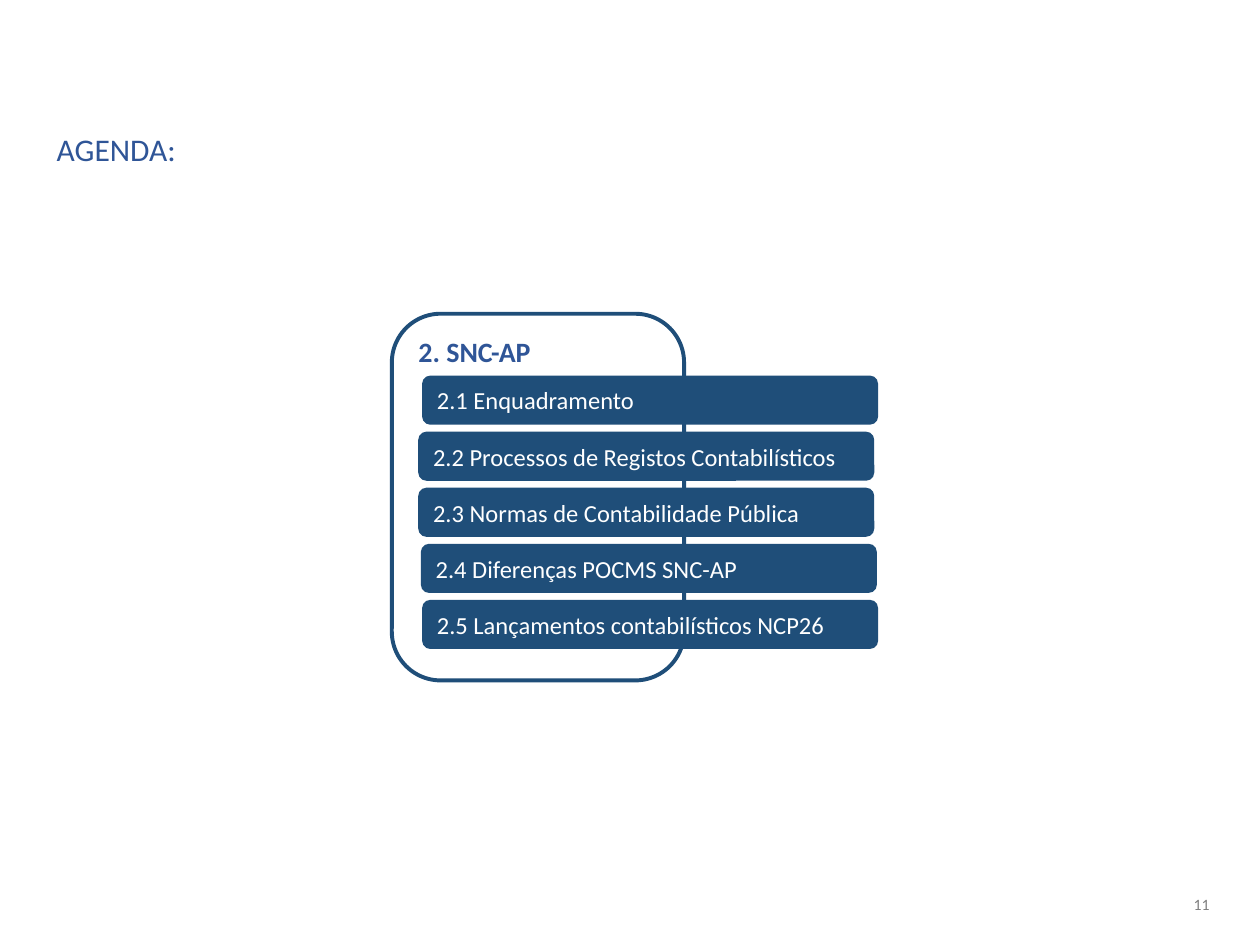
from dataclasses import dataclass

from pptx import Presentation
from pptx.dml.color import RGBColor
from pptx.enum.shapes import MSO_SHAPE
from pptx.enum.text import MSO_ANCHOR, MSO_AUTO_SIZE, PP_ALIGN
from pptx.shapes.autoshape import Shape
from pptx.slide import Slide
from pptx.util import Pt

NAVY = RGBColor(0x1F, 0x4E, 0x79)
BLUE = RGBColor(0x2F, 0x55, 0x97)
GREY = RGBColor(0x80, 0x80, 0x80)
WHITE = RGBColor(0xFF, 0xFF, 0xFF)

FONT = "Calibri"
BAR_TOP = 214.6
BAR_STEP = 32.04
BAR_WIDTH = 260.6
BAR_HEIGHT = 28.1


@dataclass
class Topic:
    text: str
    left: float


TOPICS = [
    Topic("2.1 Enquadramento", 241.2),
    Topic("2.2 Processos de Registos Contabilísticos", 239),
    Topic("2.3 Normas de Contabilidade Pública", 239),
    Topic("2.4 Diferenças POCMS SNC-AP", 240.5),
    Topic("2.5 Lançamentos contabilísticos NCP26", 241.2),
]


def set_text(
    shape: Shape,
    text: str,
    size: float,
    color: RGBColor,
    bold: bool = False,
    align: PP_ALIGN = PP_ALIGN.LEFT,
    anchor: MSO_ANCHOR = MSO_ANCHOR.MIDDLE,
) -> None:
    frame = shape.text_frame
    frame.word_wrap = True
    frame.auto_size = MSO_AUTO_SIZE.NONE
    frame.vertical_anchor = anchor
    frame.text = text
    line = frame.paragraphs[0]
    line.alignment = align
    line.font.name = FONT
    line.font.size = Pt(size)
    line.font.bold = bold
    line.font.color.rgb = color


def add_box(
    slide: Slide, left: float, top: float, width: float, height: float, fill: RGBColor
) -> Shape:
    box = slide.shapes.add_shape(
        MSO_SHAPE.ROUNDED_RECTANGLE, Pt(left), Pt(top), Pt(width), Pt(height)
    )
    box.shadow.inherit = False
    box.fill.solid()
    box.fill.fore_color.rgb = fill
    return box


def add_title(slide: Slide) -> None:
    title = slide.shapes.title
    title.left, title.top = Pt(25.2), Pt(71.3)
    title.width, title.height = Pt(668.9), Pt(28.1)
    set_text(title, "AGENDA:", 18, BLUE)


def add_panel(slide: Slide) -> None:
    panel = add_box(slide, 223.9, 179.3, 167, 209.5, WHITE)
    panel.line.color.rgb = NAVY
    panel.line.width = Pt(2.25)
    set_text(panel, "2. SNC-AP", 16, BLUE, bold=True, anchor=MSO_ANCHOR.TOP)


def add_bar(slide: Slide, topic: Topic, row: int) -> None:
    top = BAR_TOP + row * BAR_STEP
    bar = add_box(slide, topic.left, top, BAR_WIDTH, BAR_HEIGHT, NAVY)
    bar.line.fill.background()
    set_text(bar, topic.text, 14, WHITE)


def add_number(slide: Slide) -> None:
    box = slide.shapes.add_textbox(Pt(666), Pt(502.6), Pt(28.1), Pt(28.1))
    frame = box.text_frame
    frame.margin_left = frame.margin_right = Pt(2.9)
    frame.margin_top = frame.margin_bottom = Pt(2.9)
    set_text(box, "11", 9, GREY, align=PP_ALIGN.RIGHT)


def main() -> None:
    deck = Presentation()
    deck.slide_width, deck.slide_height = Pt(720), Pt(540)
    slide = deck.slides.add_slide(deck.slide_layouts.get_by_name("Title Only"))
    add_number(slide)
    add_title(slide)
    add_panel(slide)
    for row, topic in enumerate(TOPICS):
        add_bar(slide, topic, row)
    deck.save("out.pptx")


if __name__ == "__main__":
    main()
